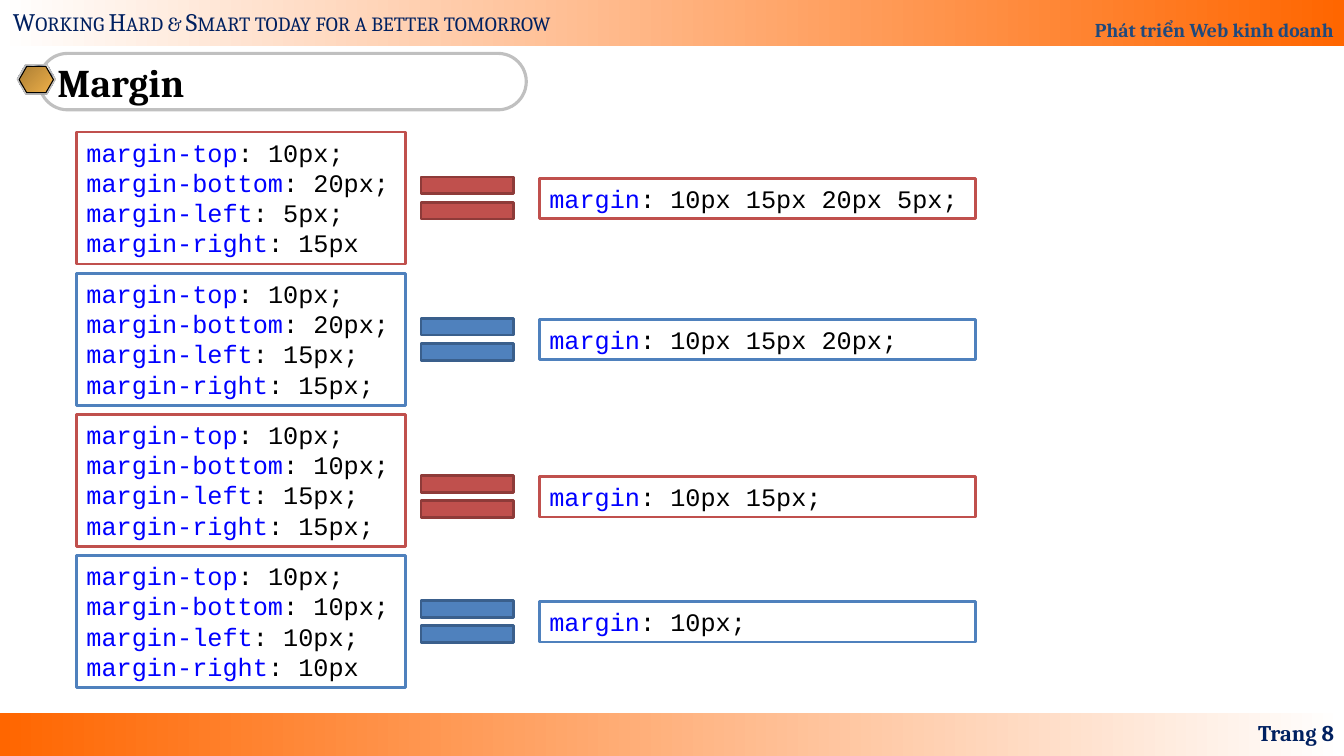
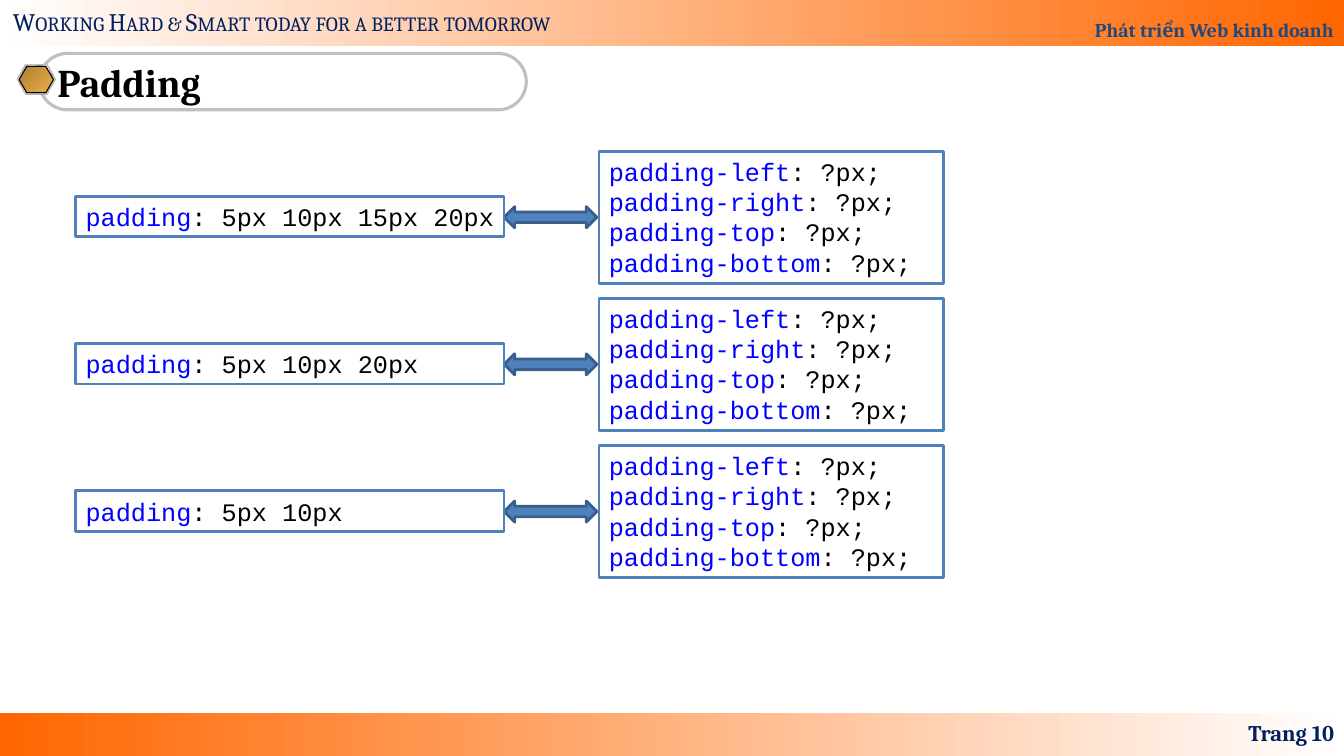
"""Build two slides on the CSS margin and padding shorthands."""
from copy import deepcopy

from pptx import Presentation
from pptx.dml.color import RGBColor
from pptx.enum.shapes import MSO_SHAPE
from pptx.enum.text import MSO_ANCHOR, PP_ALIGN
from pptx.oxml.ns import qn
from pptx.util import Inches, Pt

RECTANGLE = MSO_SHAPE.RECTANGLE
PILL = MSO_SHAPE.ROUNDED_RECTANGLE
HEXAGON = MSO_SHAPE.HEXAGON
EQUALS = MSO_SHAPE.MATH_EQUAL
ARROW = MSO_SHAPE.LEFT_RIGHT_ARROW
TOP, MIDDLE, BOTTOM = MSO_ANCHOR.TOP, MSO_ANCHOR.MIDDLE, MSO_ANCHOR.BOTTOM
LEFT, RIGHT = PP_ALIGN.LEFT, PP_ALIGN.RIGHT

WHITE = RGBColor(0xFF, 0xFF, 0xFF)
BLACK = RGBColor(0x00, 0x00, 0x00)
ORANGE = RGBColor(0xFF, 0x66, 0x00)
NAVY = RGBColor(0x00, 0x20, 0x60)
COURSE_BLUE = RGBColor(0x1F, 0x49, 0x7D)
CODE_BLUE = RGBColor(0x00, 0x00, 0xFF)
SILVER = RGBColor(0xC0, 0xC0, 0xC0)
GRAY = RGBColor(0x80, 0x80, 0x80)
STEEL = RGBColor(0x7D, 0x84, 0x96)
PALE = RGBColor(0xE6, 0xE6, 0xE6)
BRONZE = RGBColor(0xAB, 0x7E, 0x34)
GOLD = RGBColor(0xEF, 0xB0, 0x49)
RED = RGBColor(0xC0, 0x50, 0x4D)
DARK_RED = RGBColor(0x8E, 0x3B, 0x39)
BLUE = RGBColor(0x4F, 0x81, 0xBD)
DARK_BLUE = RGBColor(0x3A, 0x5F, 0x8C)

SERIF, MONO = "Cambria", "Courier New"
WIDTH, HEIGHT = 13.33, 7.5
HEADER_HEIGHT, FOOTER_HEIGHT = 0.46, 0.43
FOOTER_TOP = HEIGHT - FOOTER_HEIGHT
LINE_HEIGHT, BLOCK_HEIGHT = 0.4, 1.31
METAL = [(0, PALE), (0.07, STEEL), (0.26, PALE), (0.34, STEEL), (0.46, PALE), (0.5, WHITE),
         (0.54, PALE), (0.66, STEEL), (0.74, PALE), (0.93, STEEL), (1, PALE)]
BADGE = [
    ((0.17, 0.65, 0.38, 0.29), GRAY, None),
    ((0.17, 0.64, 0.38, 0.29), METAL, SILVER),
    ((0.19, 0.66, 0.34, 0.26), [(0, BRONZE), (1, GOLD)], BLACK),
]
SCHEMES = {"red": (RED, DARK_RED), "blue": (BLUE, DARK_BLUE)}

MARGIN_FIRST, MARGIN_PITCH = 1.31, 1.4
MARGIN_ROWS = [
    ("red", ["10px;", "20px;", "5px;", "15px"], "10px 15px 20px 5px;", 0),
    ("blue", ["10px;", "20px;", "15px;", "15px;"], "10px 15px 20px;", 0),
    ("red", ["10px;", "10px;", "15px;", "15px;"], "10px 15px;", 0.16),
    ("blue", ["10px;", "10px;", "10px;", "10px"], "10px;", 0),
]
PADDING_FIRST, PADDING_PITCH = 1.5, 1.46
PADDING_ROWS = ["5px 10px 15px 20px", "5px 10px 20px", "5px 10px"]


def write(shape, lines, size=18, font=SERIF, bold=False, align=LEFT, anchor=TOP,
          wrap=True, spacing=None, small_caps=False, right_inset=0.1):
    """Fill a shape with lines, each a list of (text, colour) spans."""
    frame = shape.text_frame
    frame.word_wrap = wrap
    frame.vertical_anchor = anchor
    frame.margin_left, frame.margin_right = Inches(0.1), Inches(right_inset)
    frame.margin_top = frame.margin_bottom = Inches(0.05)
    for index, spans in enumerate(lines):
        para = frame.add_paragraph() if index else frame.paragraphs[0]
        para.alignment = align
        if spacing:
            para.line_spacing = spacing
        for text, colour in spans:
            span = para.add_run()
            span.text = text
            span.font.name, span.font.size, span.font.bold = font, Pt(size), bold
            span.font.color.rgb = colour
            if small_caps:
                span.font._element.set("cap", "small")


def draw(page, kind, place, fill=None, line=None, weight=2, angle=0):
    """Add a shape whose fill is a colour, a list of gradient stops or nothing."""
    shape = page.shapes.add_shape(kind, *map(Inches, place))
    shape.shadow.inherit = False
    if fill is None:
        shape.fill.background()
    elif isinstance(fill, list):
        shape.fill.gradient()
        shape.fill.gradient_angle = angle
        stop_list = shape._element.spPr.find(".//" + qn("a:gsLst"))
        for _ in fill[2:]:
            stop_list.append(deepcopy(stop_list[0]))
        for stop, (position, colour) in zip(shape.fill.gradient_stops, fill):
            stop.position, stop.color.rgb = position, colour
    else:
        shape.fill.solid()
        shape.fill.fore_color.rgb = fill
    if line is None:
        shape.line.fill.background()
    else:
        shape.line.color.rgb = line
        shape.line.width = Pt(weight)
    return shape


deck = Presentation()
deck.slide_width, deck.slide_height = Inches(WIDTH), Inches(HEIGHT)
pages = []

for heading, number in [("Margin", 8), ("Padding", 10)]:
    page = deck.slides.add_slide(deck.slide_layouts[5])
    pages.append(page)
    draw(page, RECTANGLE, (0, FOOTER_TOP, WIDTH, FOOTER_HEIGHT), [(0, ORANGE), (1, WHITE)])
    header = draw(page, RECTANGLE, (0, 0, WIDTH, HEADER_HEIGHT), [(0, WHITE), (1, ORANGE)])
    write(header, [[("Phát triển Web kinh doanh", COURSE_BLUE)]], size=14, bold=True,
          align=RIGHT, anchor=BOTTOM, spacing=1.8)
    motto = page.shapes.add_textbox(*map(Inches, (0.03, 0.01, 5.9, 0.4)))
    write(motto, [[("Working Hard & Smart today for a better tomorrow", NAVY)]],
          wrap=False, small_caps=True)
    pill = draw(page, PILL, (0.39, 0.53, 4.83, 0.56), line=SILVER, weight=2.25)
    pill.adjustments[0] = 0.5
    for place, fill, line in BADGE:
        badge = draw(page, HEXAGON, place, fill, line, weight=0.75, angle=315)
        badge.adjustments[0] = 0.289
    title = page.shapes.title
    title.left, title.top, title.width, title.height = map(Inches, (0.47, 0.53, 4.67, 0.56))
    write(title, [[(heading, BLACK)]], size=28, bold=True, anchor=MIDDLE)
    page_label = page.shapes.add_textbox(*map(Inches, (10.22, FOOTER_TOP, 3.11, 0.4)))
    write(page_label, [[(f"Trang {number}", NAVY)]], size=16, bold=True,
          align=RIGHT, anchor=MIDDLE)

margin_page, padding_page = pages
code_boxes = []

for row, (scheme, values, shorthand, shift) in enumerate(MARGIN_ROWS):
    colour, edge = SCHEMES[scheme]
    top = MARGIN_FIRST + row * MARGIN_PITCH
    sides = zip(["top", "bottom", "left", "right"], values)
    code_boxes += [
        (margin_page, (0.76, top, 3.26, BLOCK_HEIGHT), colour,
         [(f"margin-{side}", value) for side, value in sides]),
        (margin_page, (5.35, top + 0.46 + shift, 4.33, LINE_HEIGHT), colour,
         [("margin", shorthand)]),
    ]
    draw(margin_page, EQUALS, (4.01, top + 0.3 + shift, 1.25, 0.71), colour, edge)

for row, shorthand in enumerate(PADDING_ROWS):
    top = PADDING_FIRST + row * PADDING_PITCH
    code_boxes += [
        (padding_page, (0.75, top + 0.45, 4.25, LINE_HEIGHT), BLUE, [("padding", shorthand)]),
        (padding_page, (5.94, top, 3.42, BLOCK_HEIGHT), BLUE,
         [(f"padding-{side}", "?px;") for side in ["left", "right", "top", "bottom"]]),
    ]
    draw(padding_page, ARROW, (5, top + 0.55, 0.92, 0.21), BLUE, DARK_BLUE)

for page, place, colour, rules in code_boxes:
    box = draw(page, RECTANGLE, place, WHITE, colour)
    write(box, [[(name, CODE_BLUE), (f": {value}", BLACK)] for name, value in rules],
          font=MONO, right_inset=0)

deck.save("out.pptx")
